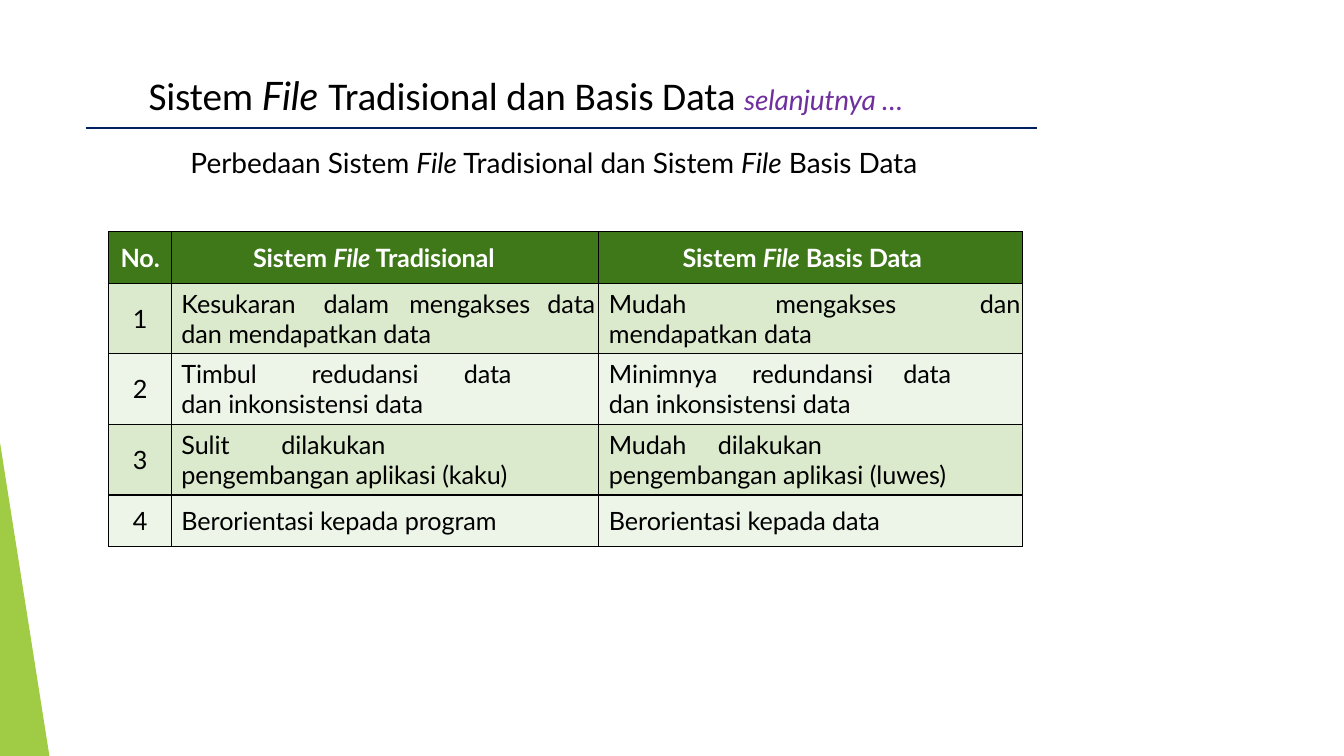
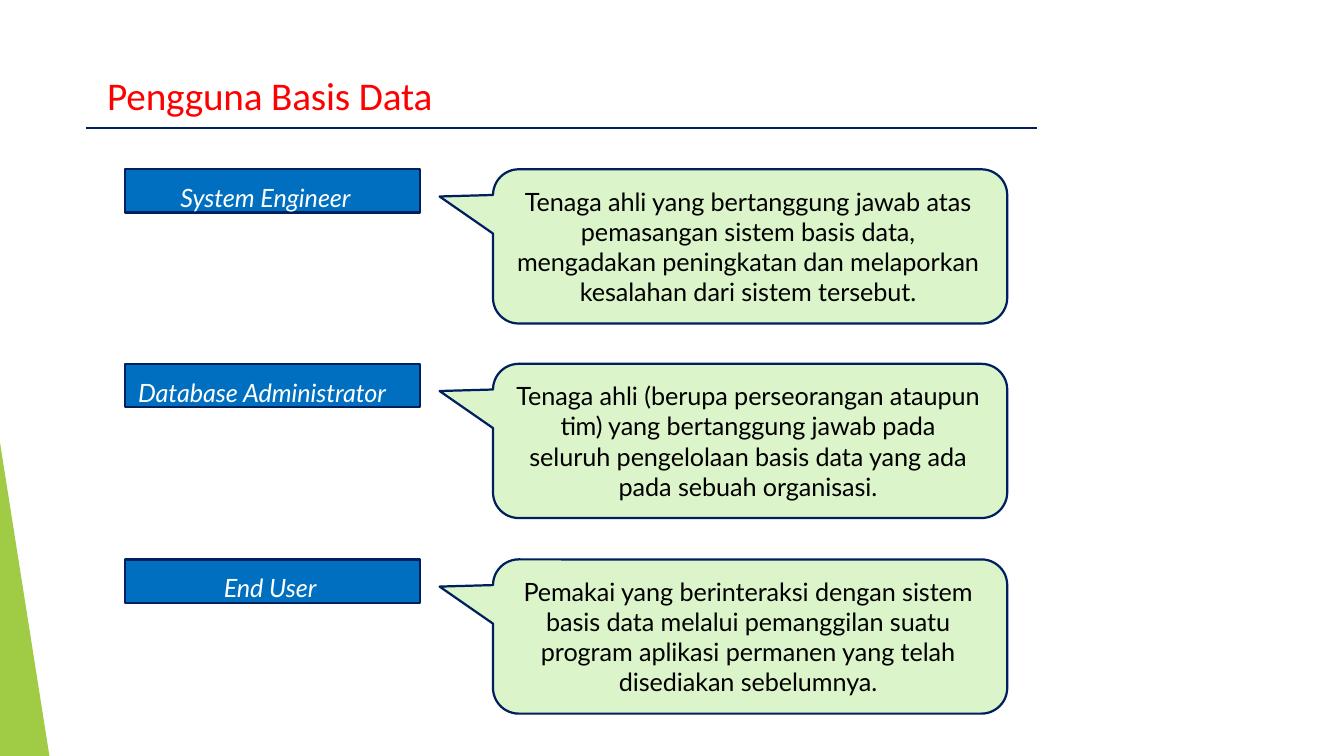
"""Build two slides on file systems and database users."""
from lxml.etree import SubElement
from pptx import Presentation
from pptx.dml.color import RGBColor
from pptx.enum.shapes import MSO_CONNECTOR, MSO_SHAPE
from pptx.enum.text import MSO_ANCHOR, PP_ALIGN
from pptx.oxml.ns import qn
from pptx.util import Inches, Pt

BLACK, WHITE, RED, PURPLE = "000000", "FFFFFF", "FF0000", "6F2F9F"
NAVY, BLUE, LIME = "001F5F", "006FC0", "90C225"
HEADER_GREEN, ROW_GREENS, CALLOUT_GREEN = "3E7818", ("DBE9CD", "EDF4E8"), "DBF4C9"

COMPARISON_TITLE = [
    ("Sistem ", {}),
    ("*File* ", {"font": "Lato"}),
    ("Tradisional dan Basis Data ", {}),
    ("*selanjutnya …*", {"font": "Lato", "size": 20, "color": PURPLE}),
]
COMPARISON_SUBTITLE = "Perbedaan Sistem *File* Tradisional dan Sistem *File* Basis Data"
COLUMN_WIDTHS = (0.62, 4.24, 4.2)
ROW_HEIGHTS = (0.51, 0.7, 0.7, 0.7, 0.51)
HEADERS = [("No.", 0), ("Sistem *File* Tradisional", 0.81), ("Sistem *File* Basis Data", 0.83)]
COMPARISONS = [
    (("Kesukaran\tdalam\tmengakses\tdata\ndan mendapatkan data", (1.41, 2.26, 3.63)),
     ("Mudah\tmengakses\tdan\nmendapatkan data", (1.65, 3.68))),
    (("Timbul\tredudansi\tdata\ndan inkonsistensi data", (1.29, 2.8)),
     ("Minimnya\tredundansi\tdata\ndan inkonsistensi data", (1.42, 2.92))),
    (("Sulit\tdilakukan\npengembangan aplikasi (kaku)", (0.99,)),
     ("Mudah\tdilakukan\npengembangan aplikasi (luwes)", (1.08,))),
    (("Berorientasi kepada program", ()),
     ("Berorientasi kepada data", ())),
]
USERS_TITLE = "Pengguna Basis Data"
USERS = [
    (1.68, "*System Engineer*", 0.55,
     "Tenaga ahli yang bertanggung jawab atas\npemasangan sistem basis data,\n"
     "mengadakan peningkatan dan melaporkan\nkesalahan dari sistem tersebut."),
    (3.61, "*Database Administrator*", 0.13,
     "Tenaga ahli (berupa perseorangan ataupun\ntim) yang bertanggung jawab pada\n"
     "seluruh pengelolaan basis data yang ada\npada sebuah organisasi."),
    (5.55, "*End User*", 0.98,
     "Pemakai yang berinteraksi dengan sistem\nbasis data melalui pemanggilan suatu\n"
     "program aplikasi permanen yang telah\ndisediakan sebelumnya."),
]
CALLOUT_LEFT, CALLOUT_WIDTH, CALLOUT_HEIGHT = 4.89, 5.1, 1.53
TIP_REACH, TIP_DROP = 0.53, 0.27


def rgb(value):
    """Turn a hex string into a colour."""
    return RGBColor.from_string(value)


def add_run(paragraph, text, font="Lato", size=18, color=BLACK, bold=False, italic=False,
            spacing=-0.1):
    """Append one formatted run."""
    run = paragraph.add_run()
    run.text = text
    run.font.name, run.font.size = font, Pt(size)
    run.font.bold, run.font.italic = bold, italic
    run.font.color.rgb = rgb(color)
    run._r.get_or_add_rPr().set("spc", str(round(spacing * 100)))


def write(text_frame, content, align=PP_ALIGN.LEFT, indent=0, tabs=(), **style):
    """Write text in which asterisks enclose italics and newlines break lines."""
    paragraph = text_frame.paragraphs[0]
    paragraph.alignment = align
    properties = paragraph._p.get_or_add_pPr()
    properties.set("marL", str(Inches(indent)))
    if tabs:
        tab_list = SubElement(properties, qn("a:tabLst"))
        for position in tabs:
            SubElement(tab_list, qn("a:tab"), pos=str(Inches(position)), algn="l")
    pieces = [(content, {})] if isinstance(content, str) else content
    for text, overrides in pieces:
        for number, part in enumerate(text.split("*")):
            for line_number, line in enumerate(part.split("\n")):
                if line_number:
                    paragraph.add_line_break()
                if line:
                    add_run(paragraph, line, italic=number % 2 == 1, **{**style, **overrides})


def set_frame(text_frame, anchor, top=0, right=0):
    """Wrap the text and set its anchor and margins."""
    text_frame.word_wrap = True
    text_frame.vertical_anchor = anchor
    text_frame.margin_left = text_frame.margin_bottom = 0
    text_frame.margin_top, text_frame.margin_right = Inches(top), Inches(right)


def add_text(slide, box, content, anchor=MSO_ANCHOR.TOP, **style):
    """Add a text box."""
    text_frame = slide.shapes.add_textbox(*map(Inches, box)).text_frame
    set_frame(text_frame, anchor, 0.01)
    write(text_frame, content, **style)


def add_shape(slide, preset, box, fill, line=None):
    """Add a flat filled shape."""
    shape = slide.shapes.add_shape(preset, *map(Inches, box))
    shape.shadow.inherit = False
    shape.fill.solid()
    shape.fill.fore_color.rgb = rgb(fill)
    if line:
        shape.line.color.rgb = rgb(line)
        shape.line.width = Pt(1.6)
    else:
        shape.line.fill.background()
    return shape


def add_base_slide(presentation, title, title_width, color):
    """Add a slide with the corner accent, title and rule."""
    slide = presentation.slides.add_slide(presentation.slide_layouts[6])
    accent = add_shape(slide, MSO_SHAPE.RIGHT_TRIANGLE, (0, 4.39, 0.49, 3.11), LIME)
    accent_color = accent._element.spPr.find(qn("a:solidFill"))[0]
    SubElement(accent_color, qn("a:alpha"), val="85000")
    add_text(slide, (0.83, 0.69, title_width, 0.49), title, anchor=MSO_ANCHOR.MIDDLE,
             align=PP_ALIGN.CENTER, font="Calibri", size=28, color=color)
    rule = slide.shapes.add_connector(
        MSO_CONNECTOR.STRAIGHT, *map(Inches, (0.85, 1.27, 10.29, 1.27)))
    rule.line.color.rgb = rgb(NAVY)
    rule.line.width = Pt(1.6)
    SubElement(rule._element.spPr, qn("a:effectLst"))
    return slide


def fill_cell(cell, fill, content, **style):
    """Give a cell its borders, fill and text."""
    cell.margin_left = cell.margin_right = cell.margin_top = cell.margin_bottom = 0
    cell.vertical_anchor = MSO_ANCHOR.MIDDLE
    properties = cell._tc.get_or_add_tcPr()
    for side in ("a:lnL", "a:lnR", "a:lnT", "a:lnB"):
        border = SubElement(properties, qn(side), w=str(Pt(1)))
        SubElement(SubElement(border, qn("a:solidFill")), qn("a:srgbClr"), val=BLACK)
    cell.fill.solid()
    cell.fill.fore_color.rgb = rgb(fill)
    write(cell.text_frame, content, **style)


def add_comparison_table(slide):
    """Add the table comparing both systems."""
    box = (1.08, 2.3, sum(COLUMN_WIDTHS), sum(ROW_HEIGHTS))
    table = slide.shapes.add_table(
        len(ROW_HEIGHTS), len(COLUMN_WIDTHS), *map(Inches, box)).table
    table.first_row = table.horz_banding = False
    for column, width in zip(table.columns, COLUMN_WIDTHS):
        column.width = Inches(width)
    for row, height in zip(table.rows, ROW_HEIGHTS):
        row.height = Inches(height)
    for column, (text, indent) in enumerate(HEADERS):
        align = PP_ALIGN.LEFT if indent else PP_ALIGN.CENTER
        fill_cell(table.cell(0, column), HEADER_GREEN, text, align=align,
                  indent=indent, color=WHITE, bold=True)
    for row, entries in enumerate(COMPARISONS, 1):
        fill = ROW_GREENS[(row - 1) % 2]
        fill_cell(table.cell(row, 0), fill, str(row), align=PP_ALIGN.CENTER)
        for column, (text, tabs) in enumerate(entries, 1):
            fill_cell(table.cell(row, column), fill, text, indent=0.1, tabs=tabs,
                      spacing=-0.05)


def add_user(slide, top, name, indent, description):
    """Add a user label with its callout."""
    label = add_shape(slide, MSO_SHAPE.RECTANGLE, (1.24, top, 2.93, 0.43), BLUE, NAVY)
    set_frame(label.text_frame, MSO_ANCHOR.TOP, 0.13)
    write(label.text_frame, name, indent=indent, color=WHITE, spacing=-0.05)
    callout = add_shape(slide, MSO_SHAPE.ROUNDED_RECTANGULAR_CALLOUT,
                        (CALLOUT_LEFT, top, CALLOUT_WIDTH, CALLOUT_HEIGHT),
                        CALLOUT_GREEN, NAVY)
    callout.adjustments[0] = -0.5 - TIP_REACH / CALLOUT_WIDTH
    callout.adjustments[1] = TIP_DROP / CALLOUT_HEIGHT - 0.5
    set_frame(callout.text_frame, MSO_ANCHOR.MIDDLE, right=0.04)
    write(callout.text_frame, description, align=PP_ALIGN.CENTER, spacing=-0.05)


def main():
    """Build and save the presentation."""
    presentation = Presentation()
    presentation.slide_width, presentation.slide_height = Inches(13.33), Inches(7.5)
    comparison = add_base_slide(presentation, COMPARISON_TITLE, 8.77, BLACK)
    add_text(comparison, (1.88, 1.43, 7.54, 0.35), COMPARISON_SUBTITLE, indent=0.01,
             size=20, spacing=-0.05)
    add_comparison_table(comparison)
    users = add_base_slide(presentation, USERS_TITLE, 3.69, RED)
    for user in USERS:
        add_user(users, *user)
    presentation.save("out.pptx")


if __name__ == "__main__":
    main()
